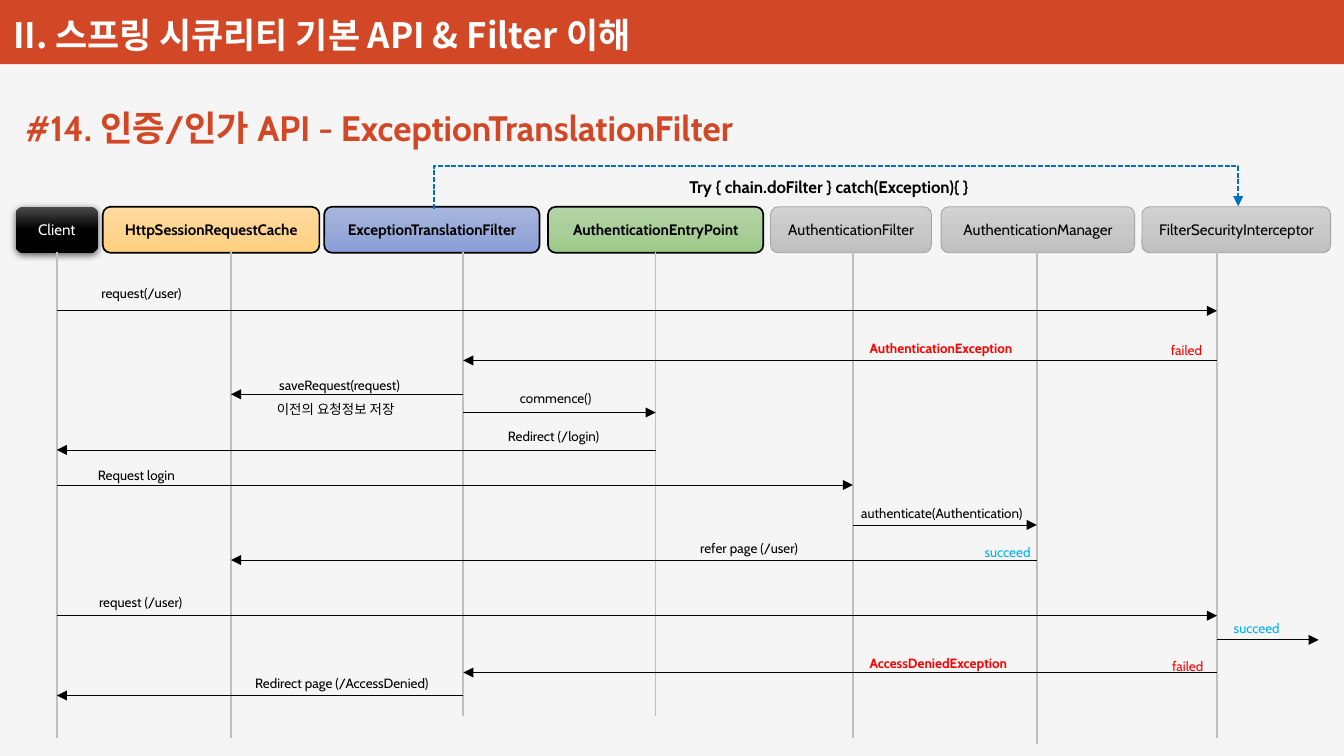
"""Build the ExceptionTranslationFilter sequence diagram slide."""
import copy
import pptx
import pptx.util
import pptx.dml.color
import pptx.enum.dml
import pptx.enum.shapes
import pptx.enum.text
import pptx.oxml
import pptx.oxml.ns
import lxml.etree

Inches = pptx.util.Inches
Pt = pptx.util.Pt
qn = pptx.oxml.ns.qn
KIND = pptx.enum.shapes.MSO_SHAPE
LINK = pptx.enum.shapes.MSO_CONNECTOR
ANCHOR = pptx.enum.text.MSO_ANCHOR
ALIGN = pptx.enum.text.PP_ALIGN
FIT = pptx.enum.text.MSO_AUTO_SIZE

LATIN, KOREAN = "Cabin", "Noto Sans CJK KR"
BLACK, WHITE, RED, SKY, BRAND = "000000", "FFFFFF", "FF0000", "00B0F0", "D24726"
HEAD = "II. 스프링 시큐리티 기본 API & Filter 이해"
TITLE = "#14. 인증/인가 API - ExceptionTranslationFilter"
GRAY = ("D2D2D2", "C8C8C8", "C0C0C0")
BOX_TOP, BOX_TALL, LIFE_TOP = 1.71, 0.38, 2.08

# name, left, width, gradient, line colour, line width, lane x, lane end
ACTORS = [
    ("Client", 0.13, 0.68, ("4B4B4B", BLACK, BLACK), None, 0, 0.47, 6.1),
    ("HttpSessionRequestCache", 0.85, 1.79, ("FFDB9E", "FFD590", "FFD07C"), BLACK, 1, 1.91, 6.1),
    ("ExceptionTranslationFilter", 2.68, 1.78, ("A8B7DF", "9AABD9", "889ED7"), BLACK, 1, 3.83, 5.92),
    ("AuthenticationEntryPoint", 4.53, 1.78, ("B5D5A7", "AACE9A", "9CC987"), BLACK, 1, 5.42, 5.92),
    ("AuthenticationFilter", 6.37, 1.33, GRAY, "A5A5A5", 0.5, 7.05, 6.1),
    ("AuthenticationManager", 7.78, 1.6, GRAY, "A5A5A5", 0.5, 8.57, 6.15),
    ("FilterSecurityInterceptor", 9.44, 1.56, GRAY, "A5A5A5", 0.5, 10.06, 6.1),
]
LANES = [actor[6] for actor in ACTORS] + [10.9]

# from lane, to lane, y
CALLS = [
    (0, 6, 2.57), (6, 2, 2.98), (2, 1, 3.26), (2, 3, 3.41), (3, 0, 3.72),
    (0, 4, 4.01), (4, 5, 4.34), (5, 1, 4.63), (0, 6, 5.09), (6, 7, 5.29),
    (6, 2, 5.56), (2, 0, 5.75),
]

# text, left, top, width, height, format
LABELS = [
    ("request(/user)", 0.74, 2.31, 0.89, 0.24, {}),
    ("AuthenticationException", 7.09, 2.76, 1.51, 0.24, {"color": RED, "bold": True}),
    ("failed", 9.58, 2.78, 0.48, 0.24, {"color": RED}),
    ("saveRequest(request)", 2.21, 3, 1.25, 0.3, {"space": 1.5}),
    ("이전의 요청정보 저장", 2.19, 3.27, 1.27, 0.24, {}),
    ("commence()", 4.2, 3.18, 0.81, 0.24, {}),
    ("Redirect (/login)", 4.1, 3.49, 1, 0.24, {}),
    ("Request login", 0.71, 3.81, 0.88, 0.24, {}),
    ("authenticate(Authentication)", 7.02, 4.13, 1.62, 0.24, {}),
    ("refer page (/user)", 5.69, 4.42, 1.06, 0.24, {}),
    ("succeed", 8.04, 4.45, 0.6, 0.24, {"color": SKY}),
    ("request (/user)", 0.72, 4.86, 0.92, 0.24, {}),
    ("succeed", 10.1, 5.08, 0.6, 0.24, {"color": SKY}),
    ("AccessDeniedException", 7.09, 5.37, 1.44, 0.24, {"color": RED, "bold": True}),
    ("failed", 9.59, 5.39, 0.48, 0.24, {"color": RED}),
    ("Redirect page (/AccessDenied)", 2.01, 5.53, 1.71, 0.24, {}),
    ("Try { chain.doFilter } catch(Exception){ }", 5.6, 1.41, 2.82, 0.27, {"size": 10, "bold": True}),
]


def rgb(code):
    return pptx.dml.color.RGBColor.from_string(code)


def place(shape, left, top, wide, tall):
    shape.left, shape.top = Inches(left), Inches(top)
    shape.width, shape.height = Inches(wide), Inches(tall)


def write(shape, text, size=8, color=BLACK, bold=False, font=LATIN,
          align=ALIGN.LEFT, anchor=ANCHOR.TOP, wrap=False, space=1):
    frame = shape.text_frame
    frame.auto_size = FIT.NONE if wrap else FIT.SHAPE_TO_FIT_TEXT
    frame.word_wrap = wrap
    frame.vertical_anchor = anchor
    para = frame.paragraphs[0]
    para.alignment, para.line_spacing = align, space
    run = para.add_run()
    run.text = text
    run.font.name, run.font.size, run.font.bold = font, Pt(size), bold
    run.font.color.rgb = rgb(color)
    asian = lxml.etree.SubElement(run.font._element, qn("a:ea"))
    asian.set("typeface", KOREAN)


def block(slide, kind, left, top, wide, tall, fill=None):
    shape = slide.shapes.add_shape(kind, *map(Inches, (left, top, wide, tall)))
    shape.shadow.inherit = False
    shape.line.fill.background()
    if fill:
        shape.fill.solid()
        shape.fill.fore_color.rgb = rgb(fill)
    return shape


def blend(shape, colors):
    shape.fill.gradient()
    shape.fill.gradient_angle = 270
    stops = shape._element.spPr.find(qn("a:gradFill")).find(qn("a:gsLst"))
    stops.insert(1, copy.deepcopy(stops[0]))
    for stop, color, spot in zip(shape.fill.gradient_stops, colors, (0, 0.5, 1)):
        stop.color.rgb = rgb(color)
        stop.position = spot


def glow(shape):
    effect = shape._element.spPr.find(qn("a:effectLst"))
    shade = lxml.etree.SubElement(effect, qn("a:outerShdw"), blurRad="57150",
                                  dist="19050", dir="5400000", rotWithShape="0")
    tone = lxml.etree.SubElement(shade, qn("a:srgbClr"), val=BLACK)
    lxml.etree.SubElement(tone, qn("a:alpha"), val="63000")


def link(slide, start, end, color=BLACK, width=0.5, head=True, kind=LINK.STRAIGHT, dash=None):
    line = slide.shapes.add_connector(kind, *map(Inches, start + end))
    line.line.color.rgb = rgb(color)
    line.line.width = Pt(width)
    if dash:
        line.line.dash_style = dash
    if head:
        lxml.etree.SubElement(line.line._get_or_add_ln(), qn("a:tailEnd"), type="triangle")
    lxml.etree.SubElement(line._element.spPr, qn("a:effectLst"))
    return line


def bend(slide):
    line = link(slide, (3.58, 1.72), (10.23, 1.7), "0070C0", 1, kind=LINK.ELBOW,
                dash=pptx.enum.dml.MSO_LINE.SQUARE_DOT)
    place(line, 6.9, -1.61, 0.02, 6.65)
    frame = line._element.spPr.find(qn("a:xfrm"))
    for key, value in (("rot", "5400000"), ("flipH", "1"), ("flipV", "1")):
        frame.set(key, value)
    shape = line._element.spPr.find(qn("a:prstGeom"))
    guides = shape.find(qn("a:avLst"))
    if guides is None:
        guides = lxml.etree.SubElement(shape, qn("a:avLst"))
    lxml.etree.SubElement(guides, qn("a:gd"), name="adj1", fmla="val 1750000")


def main():
    deck = pptx.Presentation()
    deck.slide_width, deck.slide_height = Inches(11.11), Inches(6.25)
    slide = deck.slides.add_slide(deck.slide_layouts[5])
    slide.background.fill.solid()
    slide.background.fill.fore_color.rgb = rgb("F5F5F5")
    title = slide.shapes.title
    place(title, 0.11, 0.83, 6.63, 0.45)
    write(title, TITLE, size=21, color=BRAND, bold=True)

    block(slide, KIND.RECTANGLE, 0, 0, 11.11, 0.53, BRAND)
    head = slide.shapes.add_textbox(*map(Inches, (0.01, -0.1, 6.17, 0.61)))
    write(head, HEAD, size=20.8, color=WHITE, bold=True, font=KOREAN,
          anchor=ANCHOR.BOTTOM, wrap=True)

    for name, left, wide, colors, edge, width, lane, end in ACTORS:
        box = block(slide, KIND.ROUNDED_RECTANGLE, left, BOX_TOP, wide, BOX_TALL)
        blend(box, colors)
        if edge:
            box.line.color.rgb = rgb(edge)
            box.line.width = Pt(width)
        else:
            glow(box)
        write(box, name, size=9, color=BLACK if edge else WHITE, bold=width == 1,
              align=ALIGN.CENTER, anchor=ANCHOR.MIDDLE, wrap=True)
        link(slide, (lane, LIFE_TOP), (lane, end), "BFBFBF", 1, head=False)

    for start, end, y in CALLS:
        link(slide, (LANES[start], y), (LANES[end], y))
    bend(slide)
    for text, left, top, wide, tall, style in LABELS:
        label = slide.shapes.add_textbox(*map(Inches, (left, top, wide, tall)))
        write(label, text, **style)
    deck.save("out.pptx")


if __name__ == "__main__":
    main()
